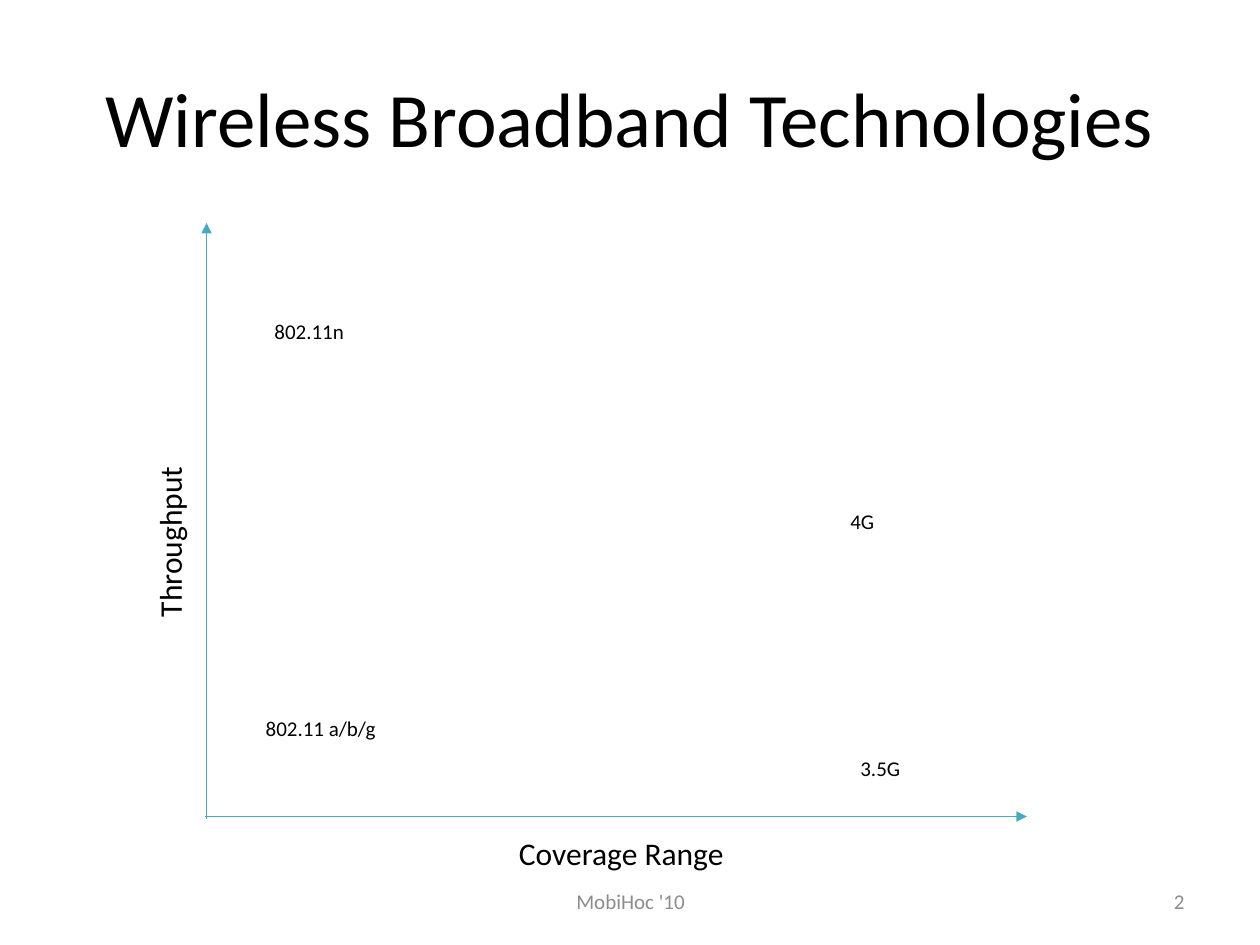
from dataclasses import dataclass

from lxml.etree import SubElement
from pptx import Presentation
from pptx.dml.color import RGBColor
from pptx.enum.shapes import MSO_CONNECTOR
from pptx.enum.text import MSO_ANCHOR, MSO_AUTO_SIZE, PP_ALIGN
from pptx.oxml.ns import qn
from pptx.slide import Slide
from pptx.util import Inches, Pt

BLACK = RGBColor(0x00, 0x00, 0x00)
GRAY = RGBColor(0x8C, 0x8C, 0x8C)
TEAL = RGBColor(0x46, 0xAA, 0xC5)
FONT = "Calibri"


@dataclass(frozen=True)
class Label:
    text: str
    left: float
    top: float
    width: float
    height: float = 0.3
    size: int = 12
    rotation: int = 0


@dataclass(frozen=True)
class Axis:
    start: tuple[float, float]
    end: tuple[float, float]


@dataclass(frozen=True)
class FooterItem:
    text: str
    left: float
    width: float
    align: PP_ALIGN


AXES = [
    Axis((1.64, 6.5), (1.64, 1.77)),
    Axis((1.63, 6.48), (8.15, 6.48)),
]
LABELS = [
    Label("Throughput", 0.64, 4.09, 1.41, 0.4, size=18, rotation=270),
    Label("Coverage Range", 4.02, 6.57, 1.85, 0.4, size=18),
    Label("802.11n", 2.08, 2.48, 0.76),
    Label("802.11 a/b/g", 2.01, 5.63, 1.09),
    Label("3.5G", 6.73, 5.95, 0.52),
    Label("4G", 6.65, 3.99, 0.39),
]
FOOTER = [
    FooterItem("MobiHoc '10", 3.42, 3.17, PP_ALIGN.CENTER),
    FooterItem("2", 7.17, 2.33, PP_ALIGN.RIGHT),
]


def write_text(frame, text: str, *, size: int, color: RGBColor = BLACK,
               align: PP_ALIGN = PP_ALIGN.LEFT,
               anchor: MSO_ANCHOR = MSO_ANCHOR.TOP, wrap: bool = True) -> None:
    frame.word_wrap = wrap
    frame.vertical_anchor = anchor
    para = frame.paragraphs[0]
    para.alignment = align
    span = para.add_run()
    span.text = text
    span.font.name = FONT
    span.font.size = Pt(size)
    span.font.color.rgb = color


def add_title(page: Slide, text: str) -> None:
    title = page.shapes.title
    title.left, title.top = Inches(0.5), Inches(0.3)
    title.width, title.height = Inches(9), Inches(1.25)
    write_text(title.text_frame, text, size=44, align=PP_ALIGN.CENTER,
               anchor=MSO_ANCHOR.MIDDLE)


def add_axis(page: Slide, axis: Axis) -> None:
    line = page.shapes.add_connector(
        MSO_CONNECTOR.STRAIGHT, *map(Inches, axis.start + axis.end))
    line.line.color.rgb = TEAL
    line.line.width = Pt(0.75)
    SubElement(line.line._get_or_add_ln(), qn("a:tailEnd"), type="triangle")
    SubElement(line._element.spPr, qn("a:effectLst"))


def add_label(page: Slide, label: Label) -> None:
    box = page.shapes.add_textbox(Inches(label.left), Inches(label.top),
                                  Inches(label.width), Inches(label.height))
    box.rotation = label.rotation
    write_text(box.text_frame, label.text, size=label.size, wrap=False)
    box.text_frame.auto_size = MSO_AUTO_SIZE.SHAPE_TO_FIT_TEXT


def add_footer_item(page: Slide, item: FooterItem) -> None:
    box = page.shapes.add_textbox(Inches(item.left), Inches(6.95),
                                  Inches(item.width), Inches(0.4))
    write_text(box.text_frame, item.text, size=12, color=GRAY,
               align=item.align, anchor=MSO_ANCHOR.MIDDLE)


def main() -> None:
    deck = Presentation()
    deck.slide_width, deck.slide_height = Inches(10), Inches(7.5)
    title_only = deck.slide_layouts[5]
    page = deck.slides.add_slide(title_only)
    add_title(page, "Wireless Broadband Technologies")
    for item in FOOTER:
        add_footer_item(page, item)
    for axis in AXES:
        add_axis(page, axis)
    for label in LABELS:
        add_label(page, label)
    deck.save("out.pptx")


if __name__ == "__main__":
    main()
